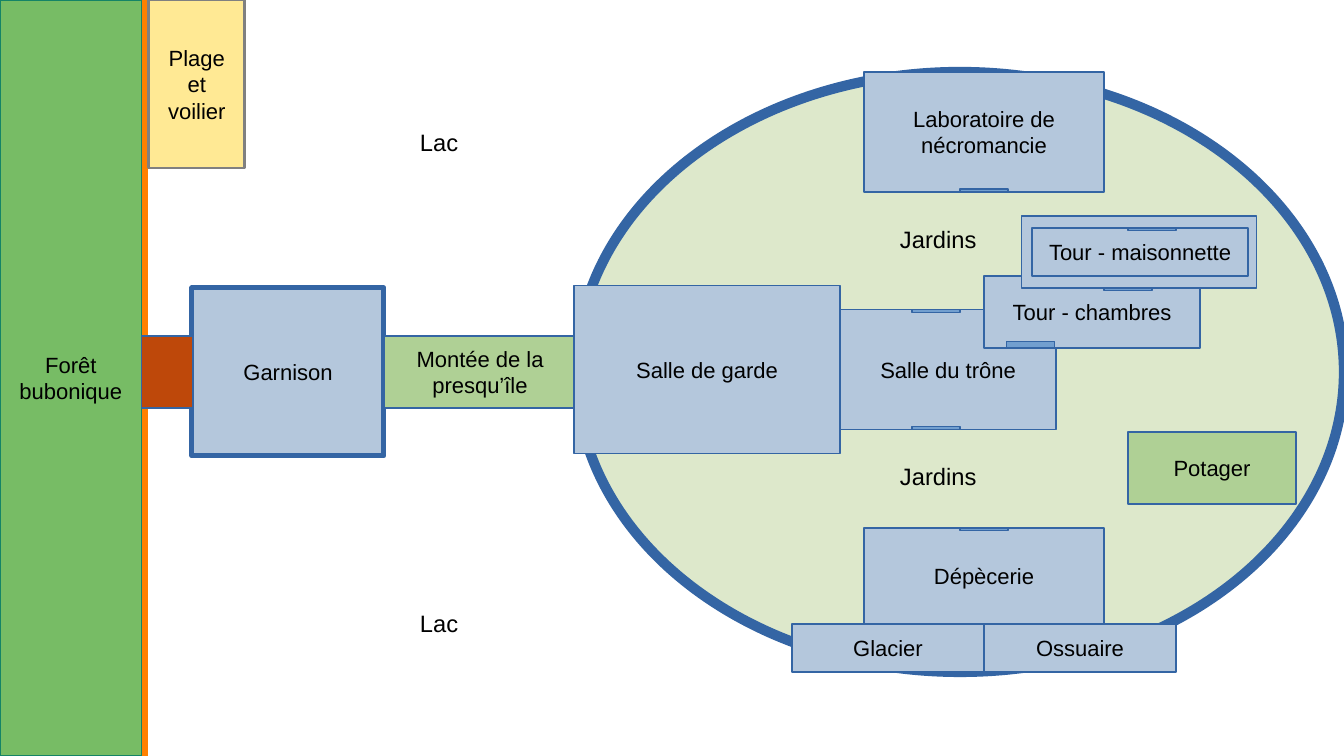
from pptx import Presentation
from pptx.util import Cm, Pt
from pptx.dml.color import RGBColor
from pptx.enum import shapes as kinds, text
from pptx.oxml import ns, xmlchemy

HUES = {
    "black": "000000", "wall": "B4C7DC", "edge": "3465A4", "door": "729FCF",
    "lawn": "DDE8CB", "grass": "AFD095", "wood": "77BC65", "bark": "158466",
    "sand": "FFE994", "grey": "808080", "shore": "FF8000", "bridge": "BE480A",
}
RECT = kinds.MSO_SHAPE.RECTANGLE
OVAL = kinds.MSO_SHAPE.OVAL


def hue(name):
    return RGBColor.from_string(HUES[name])


def draw(label, left, top, width, height, fill="wall", edge="edge", weight=0, kind=RECT):
    area = page.shapes.add_shape(kind, Cm(left), Cm(top), Cm(width), Cm(height))
    area.shadow.inherit = False
    area.fill.solid()
    area.fill.fore_color.rgb = hue(fill)
    area.line.color.rgb = hue(edge)
    area.line.width = Pt(weight)
    if label:
        frame = area.text_frame
        frame.word_wrap = True
        frame.vertical_anchor = text.MSO_ANCHOR.MIDDLE
        frame.margin_left = frame.margin_right = Cm(0.25) + Pt(weight / 2)
        frame.margin_top = frame.margin_bottom = Cm(0.13) + Pt(weight / 2)
        line = frame.paragraphs[0]
        line.text = label
        line.alignment = text.PP_ALIGN.CENTER
        line.font.name = "Arial"
        line.font.size = Pt(13)
        line.font.color.rgb = hue("black")


deck = Presentation()
deck.slide_width, deck.slide_height = Cm(28), Cm(15.75)
page = deck.slides.add_slide(deck.slide_layouts[6])

shore = page.shapes.add_connector(kinds.MSO_CONNECTOR.STRAIGHT, Cm(3), 0, Cm(3), Cm(15.75))
shore.line.color.rgb = hue("shore")
shore.line.width = Pt(4.5)
shore._element.spPr.append(xmlchemy.OxmlElement("a:effectLst"))

draw("", 12, 1.5, 16, 12.5, "lawn", weight=6, kind=OVAL)
draw("Garnison", 4, 6, 4, 3.5, weight=3)
draw("Forêt bubonique", 0, 0, 2.95, 15.75, "wood", "bark")
draw("Montée de la presqu’île", 8, 7, 4, 1.5, "grass")

rooms = [
    ("Salle de garde", 11.96, 5.95, 5.54, 3.5),
    ("Ossuaire", 20.5, 13, 4, 1),
    ("Laboratoire de nécromancie", 18, 1.5, 5, 2.5),
    ("Salle du trône", 17.5, 6.45, 4.5, 2.5),
    ("Dépècerie", 18, 11, 5, 2),
    ("Tour - chambres", 20.5, 5.75, 4.5, 1.5),
    ("Glacier", 16.5, 13, 4, 1),
    ("", 21.28, 4.5, 4.9, 1.5),
    ("Tour - maisonnette", 21.5, 4.75, 4.5, 1),
]
for room in rooms:
    draw(*room)

draw("Potager", 23.5, 9, 3.5, 1.5, "grass")

for label, left, top in [("Jardins", 18.5, 4.55), ("Lac", 8.5, 2.54),
                         ("Lac", 8.5, 12.55), ("Jardins", 18.5, 9.5)]:
    note = page.shapes.add_textbox(Cm(left), Cm(top), Cm(3), Cm(0.97))
    note.text_frame.word_wrap = True
    line = note.text_frame.paragraphs[0]
    line.text = label
    line.font.name = "Arial"
    line.font.size = Pt(14)
    line.font.color.rgb = hue("black")

doors = [(19, 6.45, 0.06), (19, 8.89, 0.06), (20.97, 7.11, 0.13), (23.5, 4.75, 0.06),
         (23, 6, 0.06), (20, 3.94, 0.06), (20, 11, 0.06)]
for left, top, depth in doors:
    draw("", left, top, 1, depth, "door")

draw("Plage et voilier", 3.1, 0, 2, 3.5, "sand", "grey", 1.5)
draw("", 2.95, 7, 1.06, 1.5, "bridge")

deck.save("out.pptx")
